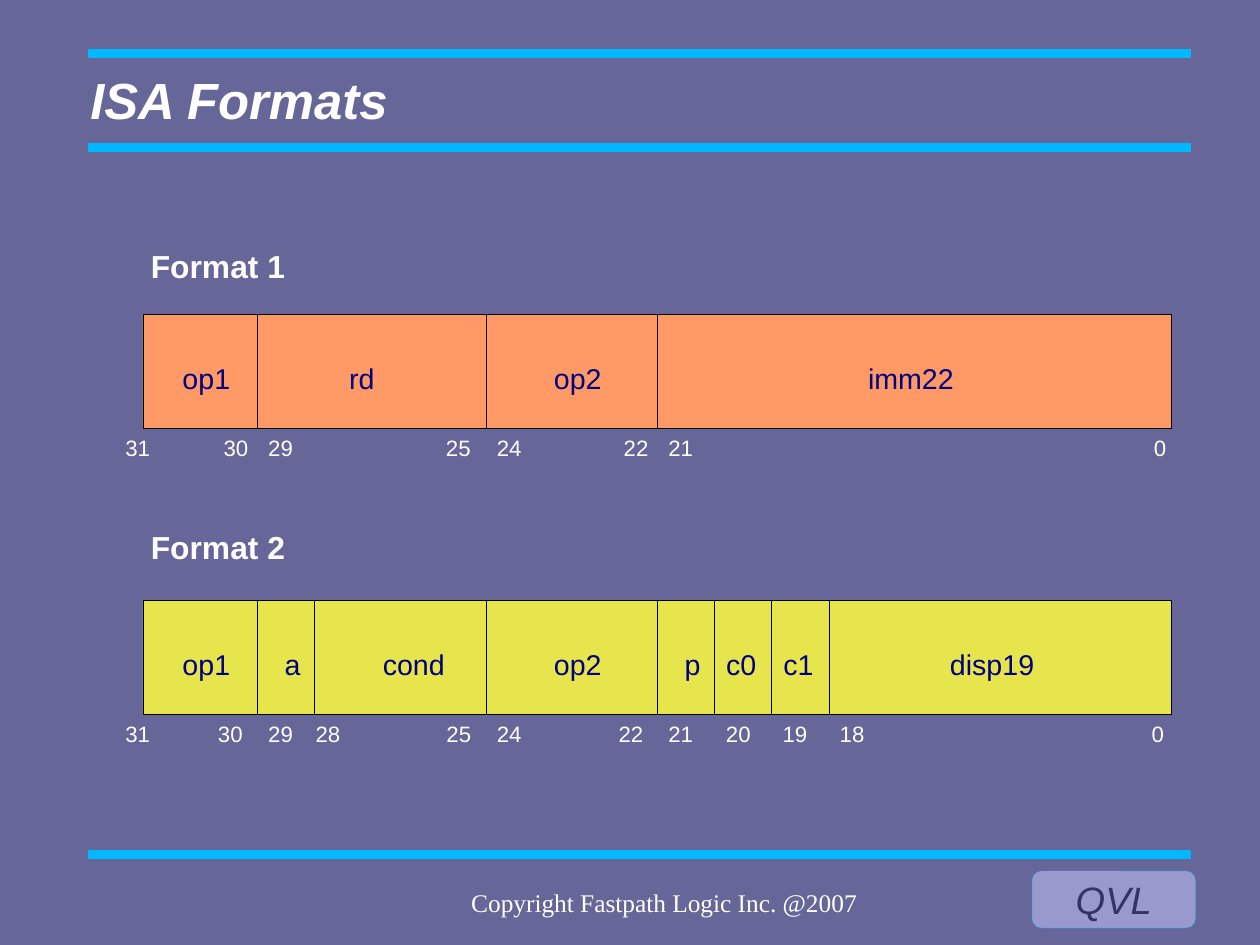
from dataclasses import dataclass
from itertools import accumulate

from lxml.etree import SubElement
from pptx import Presentation
from pptx.dml.color import RGBColor
from pptx.enum.shapes import MSO_CONNECTOR, MSO_SHAPE
from pptx.enum.text import MSO_ANCHOR, PP_ALIGN
from pptx.oxml.ns import qn
from pptx.shapes.autoshape import Shape
from pptx.slide import Slide
from pptx.util import Cm, Inches, Length, Pt

SLATE = RGBColor(0x66, 0x66, 0x99)
CYAN = RGBColor(0x00, 0xB8, 0xFF)
LAVENDER = RGBColor(0x99, 0x99, 0xCC)
INDIGO = RGBColor(0x33, 0x33, 0x66)
ORANGE = RGBColor(0xFF, 0x99, 0x66)
YELLOW = RGBColor(0xE6, 0xE6, 0x4C)
NAVY = RGBColor(0x00, 0x00, 0x80)
BLACK = RGBColor(0x00, 0x00, 0x00)
WHITE = RGBColor(0xFF, 0xFF, 0xFF)

SLIDE_WIDTH, SLIDE_HEIGHT = Cm(28), Cm(21)
HAIRLINE = Pt(0.1)
COLUMN = 0.5
WORD_LEFT, WORD_HEIGHT = 1.25, 1.0
RULE_LEFT, RULE_RIGHT = 0.77, 10.42
RULE_TOPS = (0.47, 1.29, 7.48)


@dataclass(frozen=True)
class Field:
    """A field of the word; width and text centre are in columns."""
    name: str
    columns: int
    centre: float


@dataclass(frozen=True)
class BitNumber:
    """A bit number under the word; its centre is in columns."""
    number: int
    centre: float


@dataclass(frozen=True)
class Format:
    heading: str
    heading_top: float
    word_top: float
    colour: RGBColor
    fields: tuple[Field, ...]
    bits: tuple[BitNumber, ...]


FORMATS = (
    Format(
        "Format 1", 2.16, 2.75, ORANGE,
        (Field("op1", 2, 1.11), Field("rd", 4, 3.83),
         Field("op2", 3, 7.61), Field("imm22", 9, 13.44)),
        (BitNumber(31, -0.09), BitNumber(30, 1.63), BitNumber(29, 2.41),
         BitNumber(25, 5.52), BitNumber(24, 6.41), BitNumber(22, 8.63),
         BitNumber(21, 9.41), BitNumber(0, 17.8)),
    ),
    Format(
        "Format 2", 4.62, 5.25, YELLOW,
        (Field("op1", 2, 1.11), Field("a", 1, 2.62), Field("cond", 3, 4.74),
         Field("op2", 3, 7.61), Field("p", 1, 9.62), Field("c0", 1, 10.47),
         Field("c1", 1, 11.47), Field("disp19", 6, 14.86)),
        (BitNumber(31, -0.09), BitNumber(30, 1.53), BitNumber(29, 2.41),
         BitNumber(28, 3.24), BitNumber(25, 5.53), BitNumber(24, 6.41),
         BitNumber(22, 8.54), BitNumber(21, 9.41), BitNumber(20, 10.42),
         BitNumber(19, 11.41), BitNumber(18, 12.41), BitNumber(0, 17.76)),
    ),
)


def column_x(column: float) -> float:
    return WORD_LEFT + column * COLUMN


def write(box: Shape, text: str, *, size: int, colour: RGBColor,
          font: str = "Arial", bold: bool = False, italic: bool = False,
          align: PP_ALIGN = PP_ALIGN.CENTER,
          anchor: MSO_ANCHOR = MSO_ANCHOR.TOP) -> None:
    frame = box.text_frame
    frame.margin_left = frame.margin_right = 0
    frame.margin_top = frame.margin_bottom = 0
    frame.word_wrap = True
    frame.vertical_anchor = anchor
    para = frame.paragraphs[0]
    para.alignment = align
    span = para.add_run()
    span.text = text
    span.font.name = font
    span.font.size = Pt(size)
    span.font.bold = bold
    span.font.italic = italic
    span.font.color.rgb = colour


def add_text(page: Slide, text: str, left: float, top: float, width: float,
             height: float, **text_format) -> None:
    box = page.shapes.add_textbox(
        Inches(left), Inches(top), Inches(width), Inches(height))
    write(box, text, **text_format)


def add_line(page: Slide, start: tuple[float, float], end: tuple[float, float],
             colour: RGBColor, width: Length) -> None:
    line = page.shapes.add_connector(
        MSO_CONNECTOR.STRAIGHT, *map(Inches, start + end))
    line.line.color.rgb = colour
    line.line.width = width
    SubElement(line._element.spPr, qn("a:effectLst"))


def add_panel(page: Slide, kind: MSO_SHAPE, left: float, top: float,
              width: float, height: float, fill: RGBColor,
              outline: RGBColor) -> Shape:
    panel = page.shapes.add_shape(
        kind, Inches(left), Inches(top), Inches(width), Inches(height))
    panel.shadow.inherit = False
    panel.fill.solid()
    panel.fill.fore_color.rgb = fill
    panel.line.color.rgb = outline
    panel.line.width = HAIRLINE
    return panel


def draw_format(page: Slide, layout: Format) -> None:
    top, bottom = layout.word_top, layout.word_top + WORD_HEIGHT
    edges = list(accumulate(field.columns for field in layout.fields))

    add_text(page, layout.heading, 1.32, layout.heading_top, 2, 0.4,
             size=20, colour=WHITE, bold=True, align=PP_ALIGN.LEFT)
    add_panel(page, MSO_SHAPE.RECTANGLE, WORD_LEFT, top, edges[-1] * COLUMN,
              WORD_HEIGHT, layout.colour, BLACK)
    for edge in edges[:-1]:
        add_line(page, (column_x(edge), top), (column_x(edge), bottom),
                 BLACK, HAIRLINE)
    for field in layout.fields:
        add_text(page, field.name, column_x(field.centre - 1), top + 0.41,
                 2 * COLUMN, 0.37, size=18, colour=NAVY)
    for bit in layout.bits:
        add_text(page, str(bit.number), column_x(bit.centre - 0.4),
                 bottom + 0.05, 0.8 * COLUMN, 0.29, size=14, colour=WHITE)


def draw_frame(page: Slide) -> None:
    """Draw the background, rules, title, footer and badge."""
    page.background.fill.solid()
    page.background.fill.fore_color.rgb = SLATE
    for top in RULE_TOPS:
        add_line(page, (RULE_LEFT, top), (RULE_RIGHT, top), CYAN, Pt(5.67))
    add_text(page, "ISA Formats", 0.79, 0.28, 9.41, 1.18, size=32,
             colour=WHITE, bold=True, italic=True, align=PP_ALIGN.LEFT,
             anchor=MSO_ANCHOR.MIDDLE)
    add_text(page, "Copyright Fastpath Logic Inc. @2007", 3.77, 7.76, 4.08,
             0.34, size=16, colour=WHITE, font="Times New Roman")
    badge = add_panel(page, MSO_SHAPE.ROUNDED_RECTANGLE, 9.03, 7.62, 1.43,
                      0.5, LAVENDER, CYAN)
    write(badge, "QVL", size=24, colour=INDIGO, italic=True,
          anchor=MSO_ANCHOR.MIDDLE)


def main() -> None:
    deck = Presentation()
    deck.slide_width = SLIDE_WIDTH
    deck.slide_height = SLIDE_HEIGHT
    page = deck.slides.add_slide(deck.slide_layouts[6])
    draw_frame(page)
    for layout in FORMATS:
        draw_format(page, layout)
    deck.save("out.pptx")


if __name__ == "__main__":
    main()
